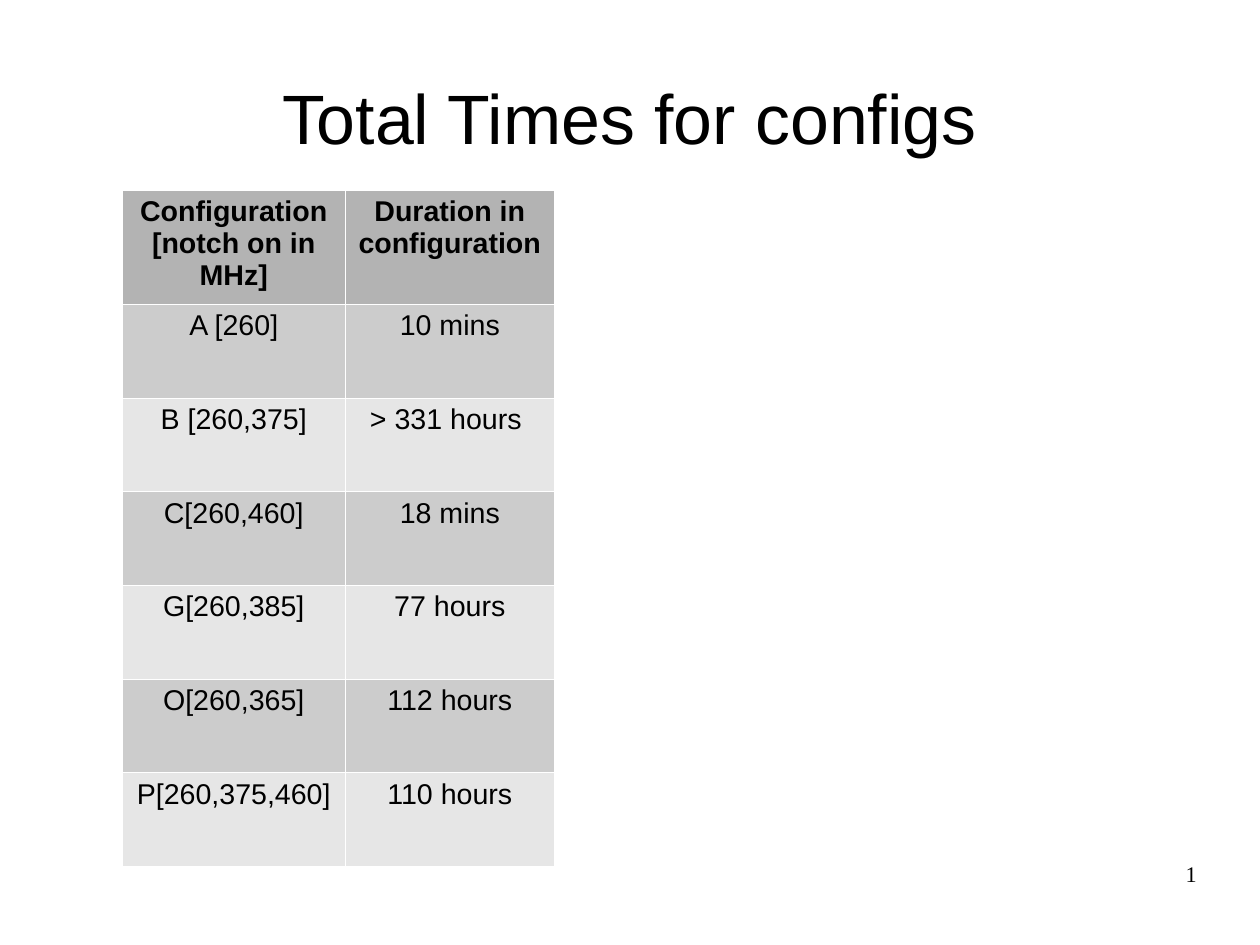
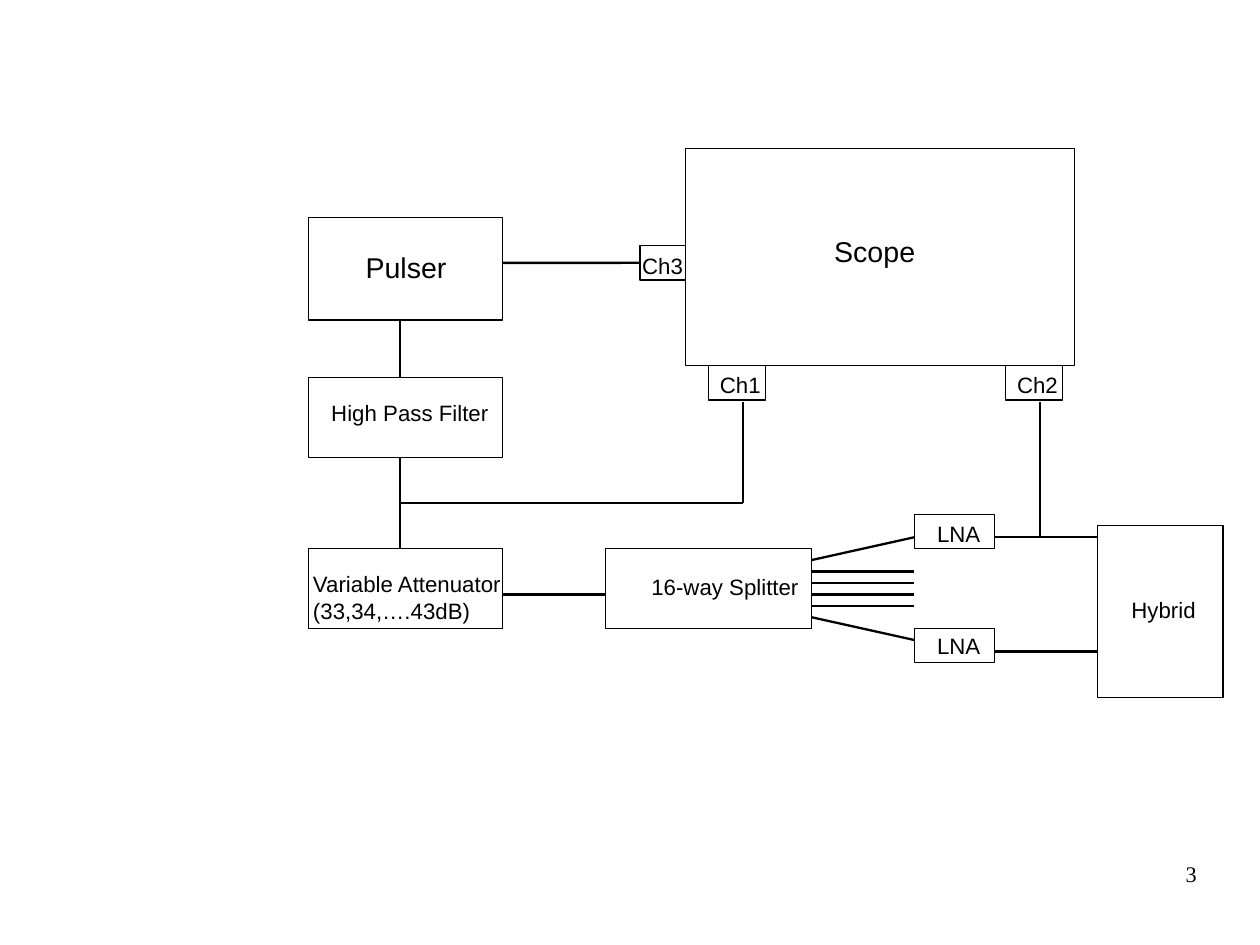
from lxml import etree
from pptx import Presentation
from pptx import util as u
from pptx.dml.color import RGBColor
from pptx.enum import shapes, text
from pptx.oxml.ns import qn

# Shared style
BLACK, WHITE = "000000", "FFFFFF"
HEADER_FILL, ROW_FILLS = "B3B3B3", ("CCCCCC", "E6E6E6")
SANS, SERIF = "Arial", "Times New Roman"
SLIDE_WIDTH, SLIDE_HEIGHT = u.Cm(28), u.Cm(21)
GRID = 2.54  # centimetres per layout unit
WIRE_WIDTH = 1.45
LABEL_INSETS = (0.1, 0.05)
TITLE_AREA = (0.55, 0.33, 9.92, 1.38)
NUMBER_AREA = (7.9, 7.53, 2.57, 0.57)

# Slide 1: configurations and their durations
TITLE = "Total Times for configs"
TABLE_ORIGIN = (1.07, 1.66)
COLUMN_WIDTHS = (1.95, 1.83)
HEADER_HEIGHT, ROW_HEIGHT = 1, 0.82
ROWS = [
    ("Configuration\n[notch on in MHz]", "Duration in configuration"),
    ("A [260]", "10 mins"),
    ("B [260,375]", "> 331 hours "),
    ("C[260,460]", "18 mins"),
    ("G[260,385]", "77 hours"),
    ("O[260,365]", "112 hours"),
    ("P[260,375,460]", "110 hours"),
]

# Slide 2: label, box area, label area, text size
BOXES = [
    ("Scope", (6, 1.3, 3.4, 1.9), (7.2, 2, 1.1, 0.66), 18),
    ("Pulser", (2.7, 1.9, 1.7, 0.9), (3.1, 2.14, 1.1, 0.66), 18),
    ("High Pass Filter", (2.7, 3.3, 1.7, 0.7), (2.8, 3.44, 1.7, 0.46), 14),
    ("Variable Attenuator\n(33,34,….43dB)", (2.7, 4.8, 1.7, 0.7), (2.64, 4.94, 1.9, 0.54), 14),
    ("16-way Splitter", (5.3, 4.8, 1.8, 0.7), (5.6, 4.97, 1.9, 0.53), 14),
    ("Ch1", (6.2, 3.2, 0.5, 0.3), (6.2, 3.2, 0.6, 0.32), 14),
    ("Ch2", (8.8, 3.2, 0.5, 0.3), (8.8, 3.2, 0.6, 0.32), 14),
    ("Ch3", (5.6, 2.15, 0.4, 0.3), (5.52, 2.16, 0.6, 0.32), 14),
    ("LNA", (8, 4.5, 0.7, 0.3), (8.1, 4.5, 0.6, 0.32), 14),
    ("LNA", (8, 5.5, 0.7, 0.3), (8.1, 5.48, 0.6, 0.32), 14),
    ("Hybrid", (9.6, 4.6, 1.1, 1.5), (9.8, 5.17, 0.88, 0.53), 14),
]
PULSER_TO_CH3 = (4.4, 2.3, 5.6, 2.3)
WIRES = [
    (3.5, 2.8, 3.5, 3.3),    # pulser to filter
    (3.5, 4, 3.5, 4.8),      # filter to attenuator
    (3.5, 4.4, 6.5, 4.4),    # branch to channel 1
    (6.5, 3.52, 6.5, 4.4),
    (4.4, 5.2, 5.3, 5.2),    # attenuator to splitter
    (7.1, 4.9, 8, 4.7),      # splitter to amplifiers
    (7.1, 5.4, 8, 5.6),
    (9.1, 3.52, 9.1, 4.7),   # channel 2 branch
    (8.7, 4.7, 9.6, 4.7),    # amplifiers to hybrid
    (8.7, 5.7, 9.6, 5.7),
] + [(7.1, 5 + step / 10, 8, 5 + step / 10) for step in range(4)]


def color(value):
    return RGBColor.from_string(value)


def lengths(values):
    return [u.Cm(value * GRID) for value in values]


def write(frame, content, size=14, font=SANS, bold=False,
          align=text.PP_ALIGN.LEFT, anchor=text.MSO_ANCHOR.TOP, insets=(0, 0)):
    frame.word_wrap = True
    frame.auto_size = text.MSO_AUTO_SIZE.NONE
    frame.vertical_anchor = anchor
    frame.margin_left, frame.margin_top = lengths(insets)
    frame.margin_right, frame.margin_bottom = lengths(insets)
    frame.text = content
    for paragraph in frame.paragraphs:
        format_paragraph(paragraph, size, font, bold, align)


def format_paragraph(paragraph, size, font, bold, align):
    paragraph.alignment = align
    for run in paragraph.runs:
        run.font.size, run.font.name, run.font.bold = u.Pt(size), font, bold
        run.font.color.rgb = color(BLACK)


def add_text(slide, content, area, **style):
    box = slide.shapes.add_textbox(*lengths(area))
    write(box.text_frame, content, **style)


def add_number(slide, number):
    add_text(slide, number, NUMBER_AREA, font=SERIF, align=text.PP_ALIGN.RIGHT)


def add_borders(cell):
    properties = cell._tc.get_or_add_tcPr()
    for position, side in enumerate(("a:lnL", "a:lnR", "a:lnT", "a:lnB")):
        line = etree.Element(qn(side), w=str(u.Pt(0.06)))
        fill = etree.SubElement(line, qn("a:solidFill"))
        etree.SubElement(fill, qn("a:srgbClr"), val=WHITE)
        properties.insert(position, line)


def add_times_table(slide):
    heights = [HEADER_HEIGHT] + [ROW_HEIGHT] * (len(ROWS) - 1)
    area = (*TABLE_ORIGIN, sum(COLUMN_WIDTHS), sum(heights))
    table = slide.shapes.add_table(len(ROWS), len(COLUMN_WIDTHS), *lengths(area)).table
    for column, width in zip(table.columns, lengths(COLUMN_WIDTHS)):
        column.width = width
    for row, height in zip(table.rows, lengths(heights)):
        row.height = height
    for index, values in enumerate(ROWS):
        header = index == 0
        for column, value in enumerate(values):
            cell = table.cell(index, column)
            cell.text = value
            for paragraph in cell.text_frame.paragraphs:
                format_paragraph(paragraph, 18, SANS, header, text.PP_ALIGN.CENTER)
            cell.fill.solid()
            cell.fill.fore_color.rgb = color(HEADER_FILL if header else ROW_FILLS[(index - 1) % 2])
            add_borders(cell)


def add_box(slide, label, area, label_area, size):
    box = slide.shapes.add_shape(shapes.MSO_SHAPE.RECTANGLE, *lengths(area))
    box.shadow.inherit = False
    box.fill.background()
    box.line.color.rgb = color(BLACK)
    box.line.width = 0
    add_text(slide, label, label_area, size=size, insets=LABEL_INSETS)
    return box


def add_wire(slide, ends):
    wire = slide.shapes.add_connector(shapes.MSO_CONNECTOR.STRAIGHT, *lengths(ends))
    wire.line.color.rgb = color(BLACK)
    wire.line.width = u.Pt(WIRE_WIDTH)
    etree.SubElement(wire._element.spPr, qn("a:effectLst"))
    return wire


def build_times_slide(presentation):
    slide = presentation.slides.add_slide(presentation.slide_layouts[5])
    title = slide.shapes.title
    title.left, title.top, title.width, title.height = lengths(TITLE_AREA)
    write(title.text_frame, TITLE, size=44, align=text.PP_ALIGN.CENTER,
          anchor=text.MSO_ANCHOR.MIDDLE)
    add_times_table(slide)
    add_number(slide, "1")


def build_setup_slide(presentation):
    slide = presentation.slides.add_slide(presentation.slide_layouts[6])
    boxes = {}
    for label, *layout in BOXES:
        boxes[label] = add_box(slide, label, *layout)
    for ends in WIRES:
        add_wire(slide, ends)
    add_wire(slide, PULSER_TO_CH3).end_connect(boxes["Ch3"], 1)
    add_number(slide, "3")


def main():
    presentation = Presentation()
    presentation.slide_width, presentation.slide_height = SLIDE_WIDTH, SLIDE_HEIGHT
    build_times_slide(presentation)
    build_setup_slide(presentation)
    presentation.save("out.pptx")


if __name__ == "__main__":
    main()
